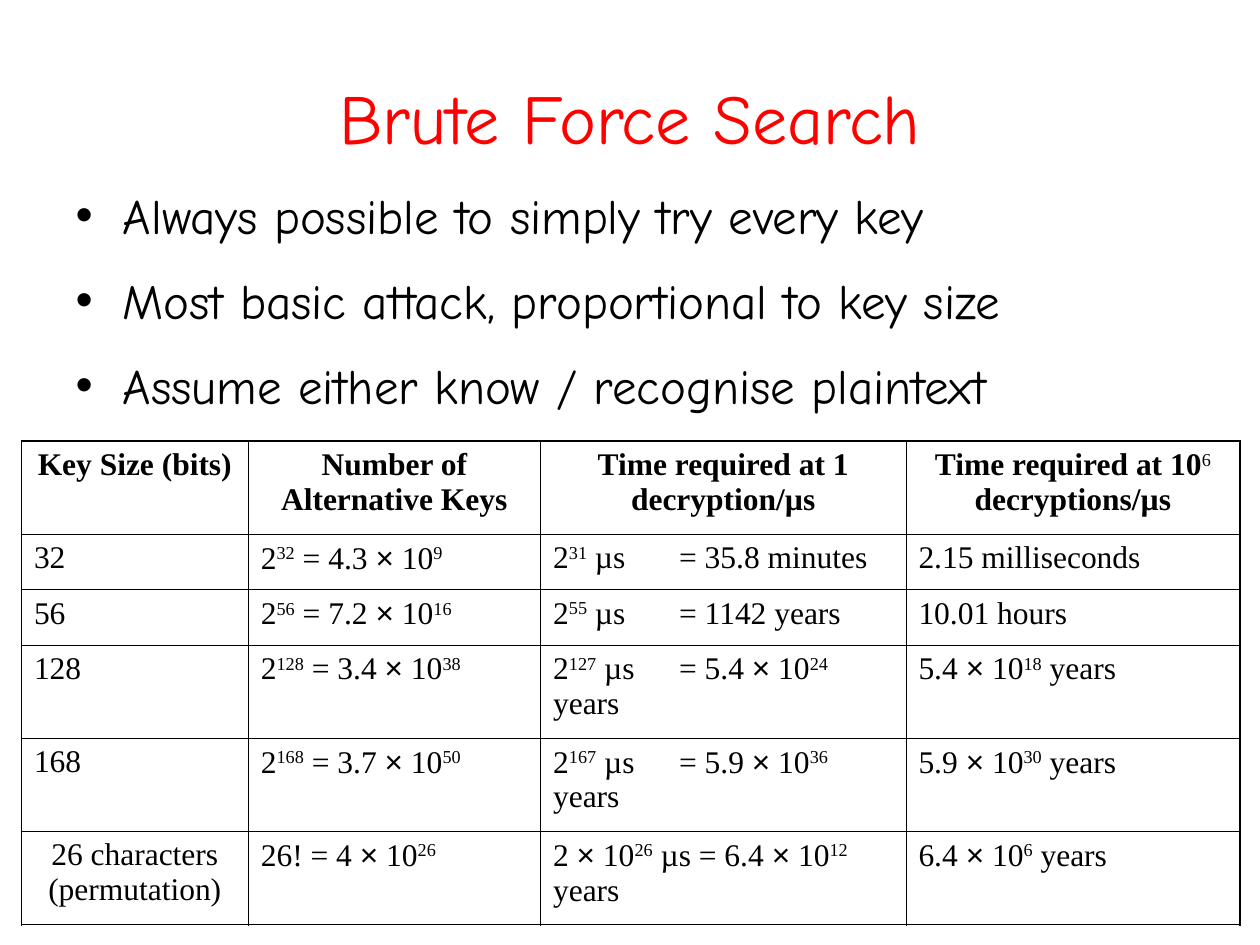
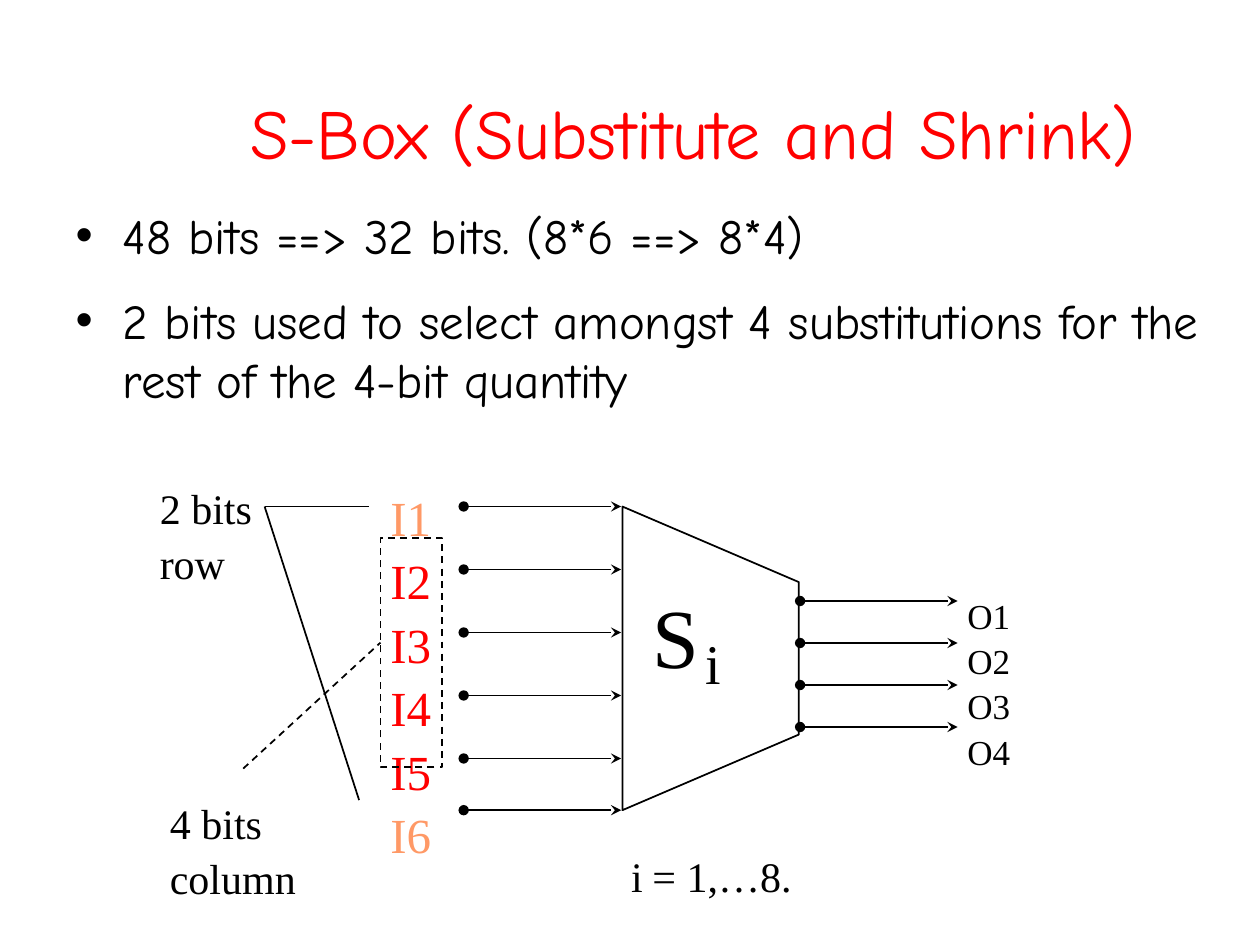
from lxml.etree import SubElement
from pptx import Presentation
from pptx.dml.color import RGBColor
from pptx.enum.dml import MSO_LINE
from pptx.enum.shapes import MSO_CONNECTOR, MSO_SHAPE
from pptx.enum.text import MSO_ANCHOR, MSO_AUTO_SIZE, PP_ALIGN
from pptx.oxml.ns import qn
from pptx.util import Inches, Pt

COLORS = {"title": "FF0000", "text": "000000", "row_bit": "FF9966", "column_bit": "FF0000"}
HEADING_FONT, TEXT_FONT, SYMBOL_FONT = "Comic Neue", "Times New Roman", "Arial"
THIN, THICK = 0.45, 1.08  # table border widths in points

# In cell text, ^...^ encloses a superscript
KEY_TABLE = [
    ["Key Size (bits)", "Number of Alternative Keys",
     "Time required at 1 decryption/µs", "Time required at 10^6^ decryptions/µs"],
    ["32", "2^32^ = 4.3 × 10^9^", "2^31^ µs\t= 35.8 minutes", "2.15 milliseconds"],
    ["56", "2^56^ = 7.2 × 10^16^", "2^55^ µs\t= 1142 years", "10.01 hours"],
    ["128", "2^128^ = 3.4 × 10^38^", "2^127^ µs\t= 5.4 × 10^24^ years", "5.4 × 10^18^ years"],
    ["168", "2^168^ = 3.7 × 10^50^", "2^167^ µs\t= 5.9 × 10^36^ years", "5.9 × 10^30^ years"],
    ["26 characters (permutation)", "26! = 4 × 10^26^",
     "2 × 10^26^ µs = 6.4 × 10^12^ years", "6.4 × 10^6^ years"],
]


def color(name):
    return RGBColor.from_string(COLORS[name])


def place(shape, box):
    shape.left, shape.top, shape.width, shape.height = (Inches(value) for value in box)


def format_paragraph(paragraph, font_name, size, color_name, before=0, after=0):
    paragraph.font.name = font_name
    paragraph.font.size = Pt(size)
    paragraph.font.color.rgb = color(color_name)
    paragraph.space_before, paragraph.space_after = Pt(before), Pt(after)


# Title and bullet list shared by both slides
def add_text_slide(presentation, title, title_box, bullets, body_box):
    slide = presentation.slides.add_slide(presentation.slide_layouts[1])
    title_shape, body = slide.shapes.title, slide.placeholders[1]
    for shape, box, lines in ((title_shape, title_box, [title]), (body, body_box, bullets)):
        place(shape, box)
        shape.text_frame.text = "\n".join(lines)
        shape.text_frame.auto_size = MSO_AUTO_SIZE.NONE
    title_shape.text_frame.vertical_anchor = MSO_ANCHOR.MIDDLE
    title_paragraph = title_shape.text_frame.paragraphs[0]
    title_paragraph.alignment = PP_ALIGN.CENTER
    format_paragraph(title_paragraph, HEADING_FONT, 40, "title", 12, 3)
    for paragraph in body.text_frame.paragraphs:
        format_paragraph(paragraph, HEADING_FONT, 28, "text", 12, 3)
    return slide


# Table of key sizes
def add_formula(paragraph, text, bold):
    for index, part in enumerate(text.split("^")):
        superscript = index % 2 == 1
        for piece in part.replace("×", "|×|").split("|"):
            if not piece:
                continue
            run = paragraph.add_run()
            run.text = piece
            run.font.bold = bold and not superscript
            if piece == "×":
                run.font.name = SYMBOL_FONT
            if superscript:
                run.font._element.set("baseline", "30000")


def set_borders(cell, widths):
    properties = cell._tc.get_or_add_tcPr()
    for side, width in widths.items():
        line = SubElement(properties, qn(f"a:ln{side}"), w=str(Pt(width)))
        fill = SubElement(line, qn("a:solidFill"))
        SubElement(fill, qn("a:srgbClr"), val=COLORS["text"])


def add_key_table(slide, box, column_widths, row_heights):
    frame = slide.shapes.add_table(len(row_heights), len(column_widths),
                                   *(Inches(value) for value in box))
    table = frame.table
    table.first_row = table.horz_banding = False
    for column, width in zip(table.columns, column_widths):
        column.width = Inches(width)
    for row, height in zip(table.rows, row_heights):
        row.height = Inches(height)
    last_row, last_column = len(row_heights) - 1, len(column_widths) - 1
    for r, texts in enumerate(KEY_TABLE):
        for c, text in enumerate(texts):
            cell = table.cell(r, c)
            set_borders(cell, {
                "L": THICK if c == 0 else THIN,
                "R": THICK if c == last_column else THIN,
                "T": THICK if r == 0 else THIN,
                "B": THICK if r == last_row else THIN,
            })
            cell.fill.background()
            paragraph = cell.text_frame.paragraphs[0]
            format_paragraph(paragraph, TEXT_FONT, 18, "text", 3, 3)
            centred = r == 0 or (r == last_row and c == 0)
            paragraph.alignment = PP_ALIGN.CENTER if centred else PP_ALIGN.LEFT
            add_formula(paragraph, text, bold=r == 0)


# Diagram parts
def add_label(shapes, box, lines, size, color_names=None):
    label = shapes.add_textbox(*(Inches(value) for value in box))
    frame = label.text_frame
    frame.word_wrap = False
    frame.text = "\n".join(lines)
    for paragraph, name in zip(frame.paragraphs, color_names or ["text"] * len(lines)):
        format_paragraph(paragraph, TEXT_FONT, size, name)
        paragraph.line_spacing = 1.08


def format_outline(line, dashed=False):
    line.color.rgb = color("text")
    line.width = Pt(1)
    if dashed:
        line.dash_style = MSO_LINE.DASH


def add_line(shapes, start, end, dashed=False, arrow=False):
    connector = shapes.add_connector(MSO_CONNECTOR.STRAIGHT,
                                     *(Inches(value) for value in (*start, *end)))
    format_outline(connector.line, dashed)
    properties = connector._element.spPr
    if arrow:
        outline = properties.find(qn("a:ln"))
        SubElement(outline, qn("a:headEnd"), type="oval")
        SubElement(outline, qn("a:tailEnd"), type="stealth")
    SubElement(properties, qn("a:effectLst"))


def add_sbox_diagram(slide, left, top):
    shapes = slide.shapes.add_group_shape().shapes

    def at(x, y, *size):
        return (left + x, top + y, *size)

    # Trapezoid with its name
    corners = [tuple(Inches(value) for value in at(x, y))
               for x, y in ((3.94, 0.52), (3.94, 2.93), (5.34, 2.33), (5.34, 1.12))]
    builder = shapes.build_freeform(*corners[0])
    builder.add_line_segments(corners[1:], close=True)
    trapezoid = builder.convert_to_shape()
    trapezoid.shadow.inherit = False
    trapezoid.fill.background()
    format_outline(trapezoid.line)
    add_label(shapes, at(4.08, 1.03, 0.57, 0.9), ["S"], 48)
    add_label(shapes, at(4.5, 1.4, 0.33, 0.63), ["i"], 32)
    add_label(shapes, at(3.91, 3.17, 0.29, 0.5), ["i"], 24)
    add_label(shapes, at(4.08, 3.17, 1.31, 0.5), ["= 1,…8."], 24)

    # Input and output arrows
    input_rows = [0.52 + 0.5 * i for i in range(5)] + [2.93]
    output_rows = [1.27 + i / 3 for i in range(4)]
    for x, rows in ((2.68, input_rows), (5.35, output_rows)):
        for y in rows:
            add_line(shapes, at(x, y), at(x + 1.25, y), arrow=True)
    add_label(shapes, at(2, 0.28, 0.53, 2.9), [f"I{i}" for i in range(1, 7)], 28,
              ["row_bit"] + ["column_bit"] * 4 + ["row_bit"])
    add_label(shapes, at(6.58, 1.14, 0.54, 1.44), [f"O{i}" for i in range(1, 5)], 20)

    # Row bits and column bits
    column_bits = shapes.add_shape(MSO_SHAPE.RECTANGLE,
                                   *(Inches(value) for value in at(2.02, 0.77, 0.49, 1.82)))
    column_bits.shadow.inherit = False
    column_bits.fill.background()
    format_outline(column_bits.line, dashed=True)
    add_label(shapes, at(0.17, 0.25, 0.93, 0.9), ["2 bits", "row"], 24)
    add_label(shapes, at(0.25, 2.75, 1.2, 0.9), ["4 bits", "column"], 24)
    add_line(shapes, at(1.1, 0.52), at(1.93, 0.52))
    add_line(shapes, at(1.1, 0.52), at(1.85, 2.85))
    add_line(shapes, at(0.93, 2.6), at(2.02, 1.6), dashed=True)


def main():
    presentation = Presentation()
    presentation.slide_width, presentation.slide_height = Inches(10), Inches(7.5)

    search = add_text_slide(
        presentation, "Brute Force Search", (0.5, 0.3, 9, 1.25),
        ["Always possible to simply try every key",
         "Most basic attack, proportional to key size",
         "Assume either know / recognise plaintext"],
        (0.5, 1.42, 8.75, 2.08))
    add_key_table(search, (0.17, 3.5, 9.67, 3.84), [1.8, 2.32, 2.9, 2.65],
                  [0.74, 0.44, 0.44, 0.74, 0.74, 0.74])

    sbox = add_text_slide(
        presentation, "S-Box (Substitute and Shrink)", (1.25, 0.42, 8.5, 1.25),
        ["48 bits ==> 32 bits. (8*6 ==> 8*4)",
         "2 bits used to select amongst 4 substitutions for the rest of the 4-bit quantity"],
        (0.5, 1.58, 9.17, 4.42))
    add_sbox_diagram(sbox, 1, 3.5)

    presentation.save("out.pptx")


if __name__ == "__main__":
    main()
